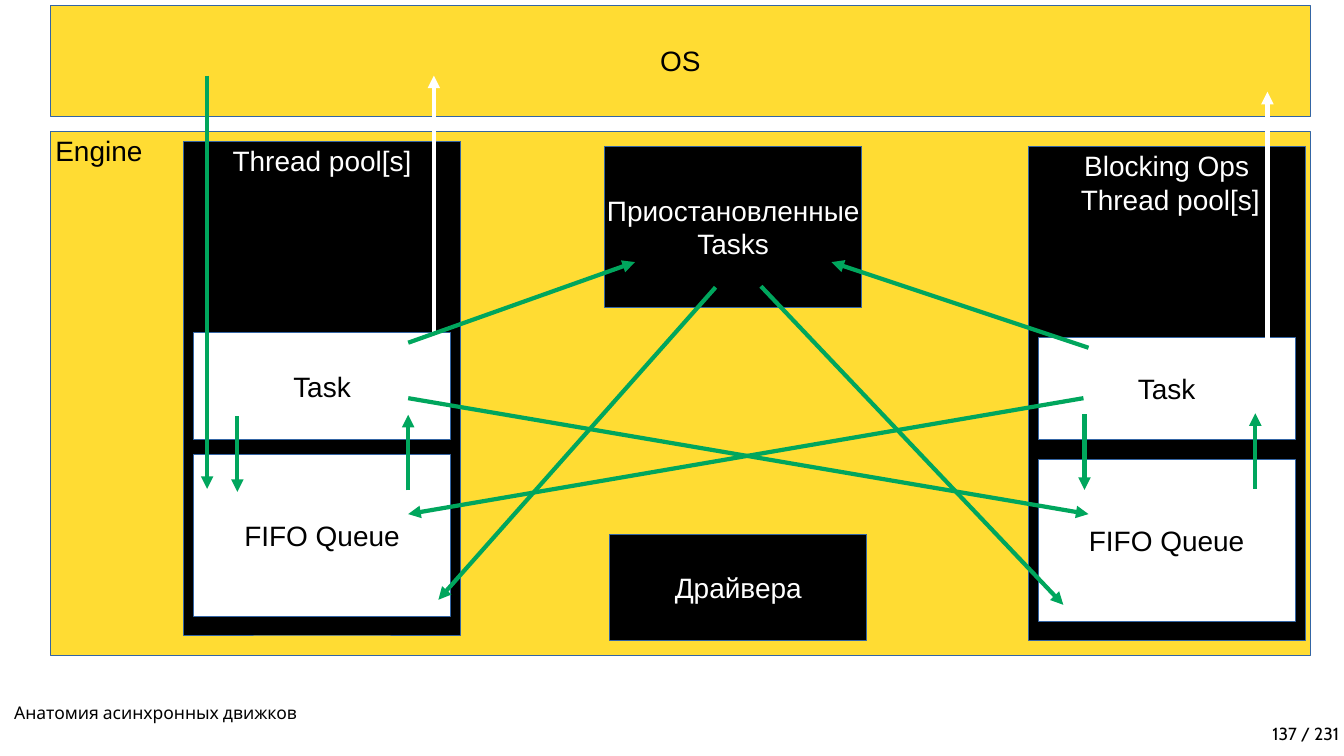
from lxml import etree
from pptx import Presentation
from pptx.dml.color import RGBColor
from pptx.enum import shapes, text
from pptx.oxml.ns import qn
from pptx.util import Inches, Pt

THEME = {
    "yellow": "FFDC33", "black": "000000", "white": "FFFFFF",
    "green": "00A65D", "outline": "3465A4",
    "box_font": "Arial", "box_size": 40,
    "footer_font": "Cabin", "footer_size": 25,
    "arrow_width": 6,
}
TOP, MIDDLE, BOTTOM = (text.MSO_ANCHOR.TOP, text.MSO_ANCHOR.MIDDLE,
                       text.MSO_ANCHOR.BOTTOM)
LEFT, CENTER, RIGHT = (text.PP_ALIGN.LEFT, text.PP_ALIGN.CENTER,
                       text.PP_ALIGN.RIGHT)

TITLE = "Анатомия асинхронных движков"
PAGE = "137 / 231"
FOOTER_SIZE = (11.35, 0.56)

# lines, (left, top, width, height), fill, font colour, anchor, alignment
BOXES = [
    (["OS"], (1, 0.1, 25, 2.2), "yellow", "black", MIDDLE, CENTER),
    (["Engine"], (1, 2.6, 25, 10.4), "yellow", "black", TOP, LEFT),
    (["Приостановленные", "Tasks"], (12, 2.9, 5.1, 3.2),
     "black", "white", MIDDLE, CENTER),
    (["Драйвера"], (12.1, 10.6, 5.1, 2.1), "black", "white", MIDDLE, CENTER),
]

# lines, left, top, task height
POOLS = [
    (["Blocking Ops", " Thread pool[s]"], 20.4, 2.9, 2.02),
    (["Thread pool[s]"], 3.64, 2.8, 2.12),
]
POOL_SIZE = (5.5, 9.8)
INNER_WIDTH, QUEUE_HEIGHT = 5.1, 3.2
INNER_MARGIN, TASK_OFFSET, QUEUE_OFFSET = 0.2, 3.8, 6.22

# start, end
ARROWS = {
    "white": [
        ((8.61, 7.4), (8.61, 1.5)),      # tasks call the OS
        ((25.15, 7.7), (25.15, 1.82)),
    ],
    "green": [
        ((4.71, 8.26), (4.71, 9.76)),    # task and its own queue
        ((8.1, 9.73), (8.1, 8.23)),
        ((21.52, 8.22), (21.52, 9.72)),
        ((24.91, 9.7), (24.91, 8.2)),
        ((8.1, 7.9), (21.6, 10.2)),      # task to the other pool's queue
        ((21.5, 7.9), (8.1, 10.2)),
        ((4.11, 1.5), (4.11, 9.7)),      # OS to queue
        ((8.1, 6.8), (12.6, 5.2)),       # task to suspended tasks
        ((21.6, 6.9), (16.5, 5.2)),
        ((14.2, 5.7), (8.7, 11.9)),      # suspended tasks to queues
        ((15.1, 5.68), (21.1, 12)),
    ],
}


def color(name):
    return RGBColor.from_string(THEME[name])


def write(shape, lines, kind, font_color, anchor, alignment, wrap):
    frame = shape.text_frame
    frame.word_wrap = wrap
    frame.auto_size = text.MSO_AUTO_SIZE.NONE
    frame.vertical_anchor = anchor
    frame.margin_left = frame.margin_right = Inches(0.1)
    frame.margin_top = frame.margin_bottom = Inches(0.05)
    for index, line in enumerate(lines):
        paragraph = frame.add_paragraph() if index else frame.paragraphs[0]
        paragraph.alignment = alignment
        run = paragraph.add_run()
        run.text = line
        run.font.name = THEME[kind + "_font"]
        run.font.size = Pt(THEME[kind + "_size"])
        run.font.color.rgb = color(font_color)


def add_box(slide, lines, place, fill, font_color, anchor, alignment):
    shape = slide.shapes.add_shape(shapes.MSO_SHAPE.RECTANGLE,
                                   *map(Inches, place))
    shape.shadow.inherit = False
    shape.fill.solid()
    shape.fill.fore_color.rgb = color(fill)
    shape.line.color.rgb = color("outline")
    shape.line.width = Pt(0)
    write(shape, lines, "box", font_color, anchor, alignment, wrap=False)


def add_pool(slide, lines, left, top, task_height):
    """Draw a thread pool with its task and queue inside."""
    add_box(slide, lines, (left, top, *POOL_SIZE),
            "black", "white", TOP, CENTER)
    for label, offset, height in (("Task", TASK_OFFSET, task_height),
                                  ("FIFO Queue", QUEUE_OFFSET, QUEUE_HEIGHT)):
        place = (left + INNER_MARGIN, top + offset, INNER_WIDTH, height)
        add_box(slide, [label], place, "white", "black", MIDDLE, CENTER)


def add_arrow(slide, start, end, line_color):
    arrow = slide.shapes.add_connector(shapes.MSO_CONNECTOR.STRAIGHT,
                                       *map(Inches, start + end))
    arrow.line.color.rgb = color(line_color)
    arrow.line.width = Pt(THEME["arrow_width"])
    properties = arrow.element.spPr
    etree.SubElement(properties.find(qn("a:ln")), qn("a:tailEnd"),
                     type="triangle")
    etree.SubElement(properties, qn("a:effectLst"))


def add_footer(slide):
    width, height = map(Inches, FOOTER_SIZE)
    title = slide.shapes.title
    title.left, title.top = Inches(0.18), Inches(13.85)
    title.width, title.height = width, height
    page = slide.shapes.add_textbox(Inches(15.32), Inches(14.25),
                                    width, height)
    for shape, line, alignment in ((title, TITLE, LEFT), (page, PAGE, RIGHT)):
        write(shape, [line], "footer", "black", BOTTOM, alignment, wrap=True)
        shape.text_frame.paragraphs[0].line_spacing = 0.9


def main():
    presentation = Presentation()
    presentation.slide_width = Inches(26.67)
    presentation.slide_height = Inches(15)
    slide = presentation.slides.add_slide(presentation.slide_layouts[5])
    add_footer(slide)
    for box in BOXES:
        add_box(slide, *box)
    for pool in POOLS:
        add_pool(slide, *pool)
    for line_color, arrows in ARROWS.items():
        for start, end in arrows:
            add_arrow(slide, start, end, line_color)
    presentation.save("out.pptx")


if __name__ == "__main__":
    main()
